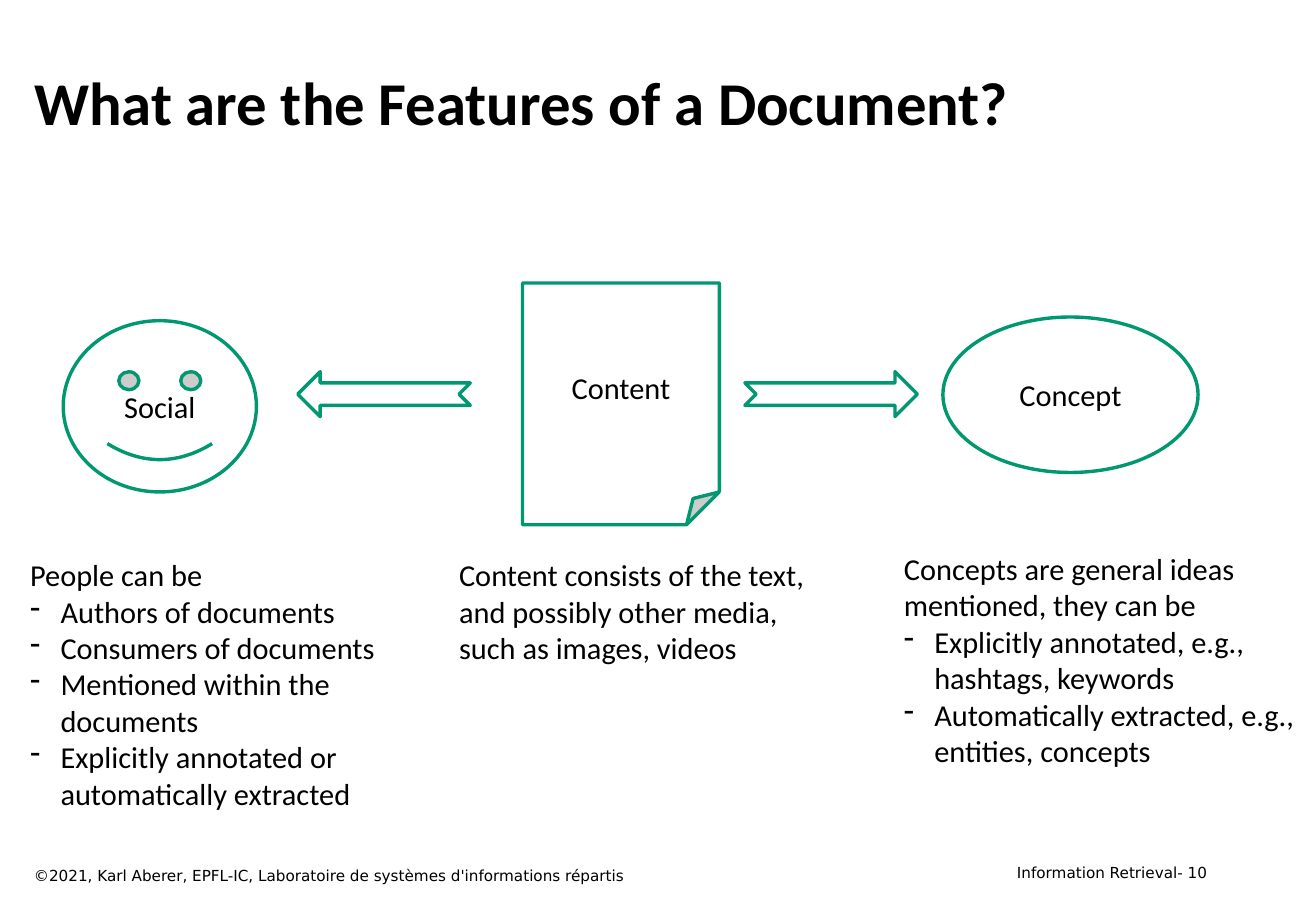
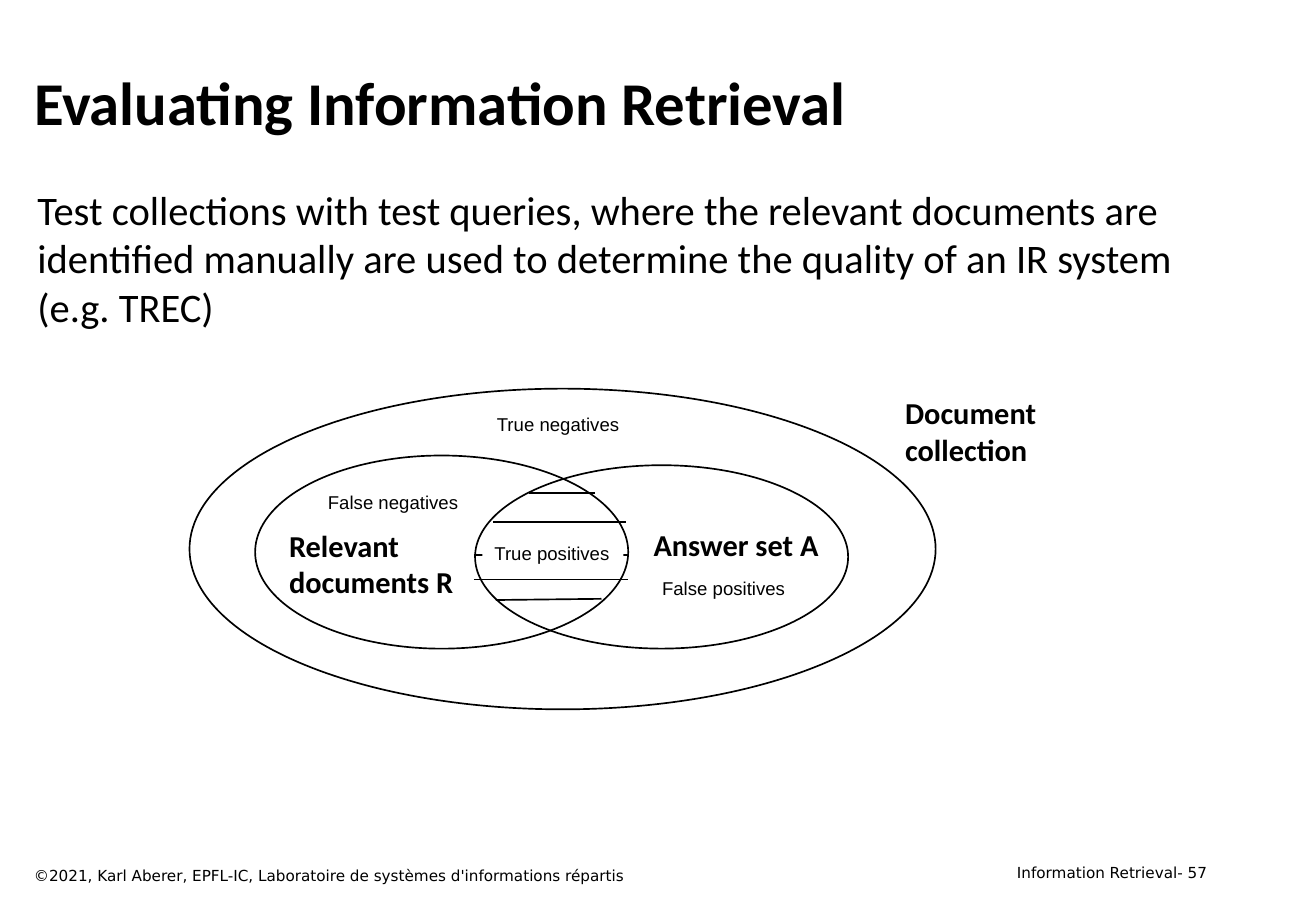
from lxml import etree
from pptx import Presentation
from pptx.dml.color import RGBColor
from pptx.enum.shapes import MSO_CONNECTOR, MSO_SHAPE
from pptx.enum.text import MSO_ANCHOR, MSO_AUTO_SIZE, PP_ALIGN
from pptx.oxml.ns import qn
from pptx.util import Inches, Pt

COLORS = {"ink": "000000", "paper": "FFFFFF", "outline": "009771"}
TEXT_FONT, LABEL_FONT, FOOTER_FONT = "Calibri", "Arial", "DejaVu Sans"
LEFT, CENTER, RIGHT = PP_ALIGN.LEFT, PP_ALIGN.CENTER, PP_ALIGN.RIGHT
TOP, MIDDLE = MSO_ANCHOR.TOP, MSO_ANCHOR.MIDDLE
OVAL = MSO_SHAPE.OVAL
PAGE = MSO_SHAPE.FOLDED_CORNER
FACE = MSO_SHAPE.SMILEY_FACE
ARROW = MSO_SHAPE.NOTCHED_RIGHT_ARROW
STRAIGHT = MSO_CONNECTOR.STRAIGHT
TITLE_ONLY = 5
BULLET_INDENT = 0.25
COPYRIGHT = "©2021, Karl Aberer, EPFL-IC, Laboratoire de systèmes d'informations répartis"


def color(name):
    """Return the named palette colour."""
    return RGBColor.from_string(COLORS[name])


def inches(box):
    """Convert a sequence of numbers to lengths."""
    return [Inches(value) for value in box]


def style(paragraph, size, font=TEXT_FONT, bold=False, align=LEFT):
    """Format a paragraph."""
    paragraph.alignment = align
    paragraph.font.size = Pt(size)
    paragraph.font.name = font
    paragraph.font.bold = bold
    paragraph.font.color.rgb = color("ink")


def add_bullet(paragraph):
    """Give a paragraph a hanging dash."""
    properties = paragraph._p.get_or_add_pPr()
    properties.set("marL", str(Inches(BULLET_INDENT)))
    properties.set("indent", str(-Inches(BULLET_INDENT)))
    etree.SubElement(properties, qn("a:buChar")).set("char", "-")


def add_text(slide, box, text, size=18, bullets=(), wrap=True, **format):
    """Add a text box with an opening paragraph and optional bullets."""
    shape = slide.shapes.add_textbox(*inches(box))
    frame = shape.text_frame
    frame.word_wrap = wrap
    frame.text = text
    style(frame.paragraphs[0], size, **format)
    for bullet in bullets:
        paragraph = frame.add_paragraph()
        paragraph.text = bullet
        add_bullet(paragraph)
        style(paragraph, size, **format)
    return shape


def add_outline(slide, kind, box, line="outline", width=2, fill="paper", text=""):
    """Add an outlined shape with optional centred text."""
    shape = slide.shapes.add_shape(kind, *inches(box))
    shape.shadow.inherit = False
    if fill:
        shape.fill.solid()
        shape.fill.fore_color.rgb = color(fill)
    else:
        shape.fill.background()
    shape.line.color.rgb = color(line)
    shape.line.width = Pt(width)
    if text:
        shape.text_frame.text = text
        shape.text_frame.vertical_anchor = MIDDLE
        style(shape.text_frame.paragraphs[0], 18, align=CENTER)
    return shape


def add_line(slide, start, end):
    """Add a thin straight line."""
    line = slide.shapes.add_connector(STRAIGHT, *inches(start + end))
    line.line.color.rgb = color("ink")
    line.line.width = Pt(1)
    etree.SubElement(line._element.spPr, qn("a:effectLst"))


def add_label(slide, box, text):
    """Add a small label on a paper background."""
    label = add_text(slide, box, text, 11, wrap=False, font=LABEL_FONT)
    label.text_frame.vertical_anchor = MIDDLE
    label.fill.solid()
    label.fill.fore_color.rgb = color("paper")


def start_slide(presentation, title, number):
    """Add a slide with the shared title and footers."""
    slide = presentation.slides.add_slide(presentation.slide_layouts[TITLE_ONLY])
    shape = slide.shapes.title
    shape.left, shape.top, shape.width, shape.height = inches((0.18, 0.33, 9.84, 1))
    frame = shape.text_frame
    frame.text = title
    frame.auto_size = MSO_AUTO_SIZE.NONE
    frame.vertical_anchor = MIDDLE
    style(frame.paragraphs[0], 36, bold=True)
    add_text(slide, (0.18, 7.08, 6.95, 0.25), COPYRIGHT, 9, font=FOOTER_FONT)
    add_text(slide, (7.77, 7.06, 2.26, 0.25), f"Information Retrieval- {number}", 9,
             font=FOOTER_FONT, align=RIGHT)
    return slide


def draw_features(slide, left, top):
    """Draw the page with arrows to the face and the concept."""
    figures = [
        (FACE, (0, 0.31, 1.59, 1.41), "Social"),
        (PAGE, (3.78, 0, 1.62, 1.99), "Content"),
        (OVAL, (7.24, 0.28, 2.1, 1.28), "Concept"),
    ]
    for kind, (x, y, width, height), text in figures:
        add_outline(slide, kind, (left + x, top + y, width, height), text=text)
    for x, rotation in ((1.93, 180), (5.61, 0)):
        arrow = add_outline(slide, ARROW, (left + x, top + 0.73, 1.42, 0.37))
        arrow.rotation = rotation


def features_slide(presentation):
    """Build the slide on document features."""
    slide = start_slide(presentation, "What are the Features of a Document?", 10)
    draw_features(slide, 0.52, 2.33)
    add_text(slide, (0.15, 4.53, 3.53, 2.22), "People can be", bullets=[
        "Authors of documents",
        "Consumers of documents",
        "Mentioned within the documents",
        "Explicitly annotated or automatically extracted",
    ])
    add_text(slide, (3.68, 4.53, 3.07, 1.01),
             "Content consists of the text,\vand possibly other media, such as images, videos")
    add_text(slide, (7.34, 4.48, 3.45, 1.92),
             "Concepts are general ideas\vmentioned, they can be", wrap=False, bullets=[
                 "Explicitly annotated, e.g.,\vhashtags, keywords",
                 "Automatically extracted, e.g.,\ventities, concepts",
             ])


def draw_sets(slide, left, top):
    """Draw the collection with its two overlapping sets."""
    ovals = [(0.54, 0.55, 3.07, 1.59), (2.35, 0.63, 3.07, 1.51), (0, 0, 6.14, 2.64)]
    for x, y, width, height in ovals:
        add_outline(slide, OVAL, (left + x, top + y, width, height), "ink", 1, None)
    names = [
        (5.79, 0, 1.81, "Document collection"),
        (0.72, 1.09, 1.81, "Relevant documents R"),
        (3.72, 1.08, 2.02, "Answer set A"),
    ]
    for x, y, width, text in names:
        add_text(slide, (left + x, top + y, width, 0.5), text, bold=True)
    hatching = [
        (2.79, 0.86, 3.34, 0.86),
        (2.5, 1.1, 3.59, 1.1),
        (2.34, 1.37, 3.61, 1.37),
        (2.34, 1.57, 3.61, 1.57),
        (2.52, 1.74, 3.39, 1.73),
    ]
    for x1, y1, x2, y2 in hatching:
        add_line(slide, (left + x1, top + y1), (left + x2, top + y2))
    labels = [
        (2.41, 1.21, 1.16, "True positives"),
        (3.79, 1.5, 1.22, "False positives"),
        (1.04, 0.79, 1.28, "False negatives"),
        (2.43, 0.15, 1.22, "True negatives"),
    ]
    for x, y, width, text in labels:
        add_label(slide, (left + x, top + y, width, 0.29), text)


def evaluation_slide(presentation):
    """Build the slide on evaluating retrieval."""
    slide = start_slide(presentation, "Evaluating Information Retrieval", 57)
    add_text(slide, (0.21, 1.47, 9.84, 1.3),
             "Test collections with test queries, where the relevant documents are "
             "identified manually are used to determine the quality of an IR system "
             "(e.g. TREC)", 24)
    draw_sets(slide, 1.56, 3.2)


def main():
    """Build and save the presentation."""
    presentation = Presentation()
    presentation.slide_width = Inches(10.83)
    presentation.slide_height = Inches(7.5)
    features_slide(presentation)
    evaluation_slide(presentation)
    presentation.save("out.pptx")


if __name__ == "__main__":
    main()
